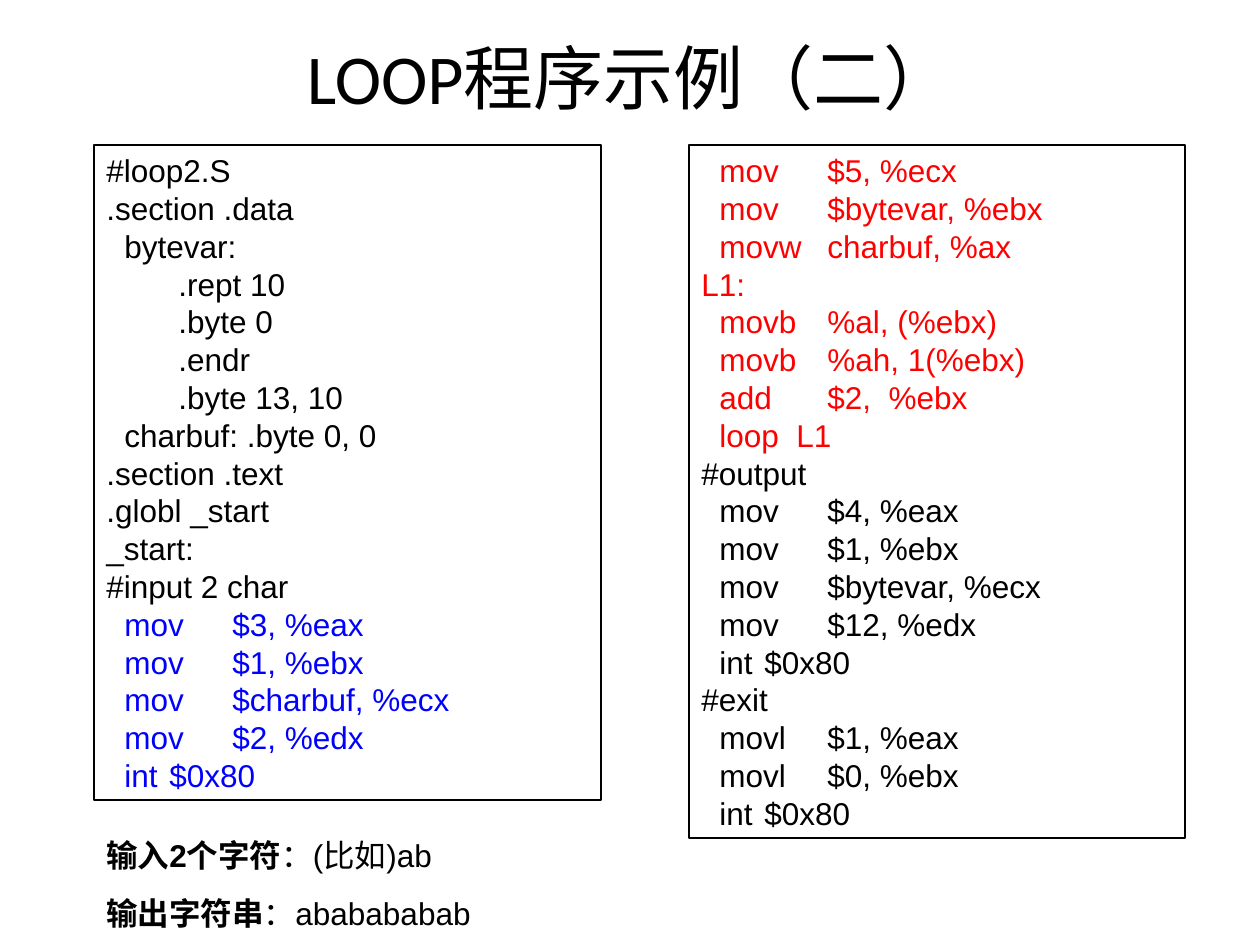
from lxml.etree import SubElement
from pptx import Presentation
from pptx.dml.color import RGBColor
from pptx.enum.shapes import MSO_SHAPE
from pptx.enum.text import MSO_ANCHOR, PP_ALIGN
from pptx.oxml.ns import qn
from pptx.util import Pt

PX = 914400 // 126
STEP = 9
TAB = 126
INK = {"black": "000000", "blue": "0000FF", "red": "FF0000"}

LEFT = [
    ("black", [
        (0, "#loop2.S"), (0, ".section .data"), (2, "bytevar:"),
        (8, ".rept 10"), (8, ".byte 0"), (8, ".endr"), (8, ".byte 13, 10"),
        (2, "charbuf: .byte 0, 0"), (0, ".section .text"),
        (0, ".globl _start"), (0, "_start:"), (0, "#input 2 char"),
    ]),
    ("blue", [
        (2, "mov\t$3, %eax"), (2, "mov\t$1, %ebx"),
        (2, "mov\t$charbuf, %ecx"), (2, "mov\t$2, %edx"), (2, "int\t$0x80"),
    ]),
]
RIGHT = [
    ("red", [
        (2, "mov\t$5, %ecx"), (2, "mov\t$bytevar, %ebx"),
        (2, "movw\tcharbuf, %ax"), (0, "L1:"), (2, "movb\t%al, (%ebx)"),
        (2, "movb\t%ah, 1(%ebx)"), (2, "add\t$2,  %ebx"), (2, "loop  L1"),
    ]),
    ("black", [
        (0, "#output"), (2, "mov\t$4, %eax"), (2, "mov\t$1, %ebx"),
        (2, "mov\t$bytevar, %ecx"), (2, "mov\t$12, %edx"), (2, "int\t$0x80"),
        (0, "#exit"), (2, "movl\t$1, %eax"), (2, "movl\t$0, %ebx"),
        (2, "int\t$0x80"),
    ]),
]
NOTES = [("输入2个字符", "：(比如)ab"), ("输出字符串", "：ababababab")]


def scale(box):
    """Turn a px box into EMU lengths."""
    return [n * PX for n in box]


def write(para, text, size=18, font="Arial", ink="black", bold=False):
    """Add one formatted run to a paragraph."""
    run = para.add_run()
    run.text = text
    run.font.size = Pt(size)
    run.font.name = font
    run.font.bold = bold
    run.font.color.rgb = RGBColor.from_string(INK[ink])


def lines(frame, count):
    """Return the given number of paragraphs of a text frame."""
    for _ in range(count - 1):
        frame.add_paragraph()
    return frame.paragraphs


def indent(para, depth):
    """Indent a code line and set its operand tab stop."""
    props = para._p.get_or_add_pPr()
    props.set("marL", "0")
    props.set("indent", str(depth * STEP * PX))
    stops = SubElement(props, qn("a:tabLst"))
    SubElement(stops, qn("a:tab"), pos=str(TAB * PX), algn="l")


def title(slide, box, text):
    """Place the centred heading."""
    frame = slide.shapes.add_textbox(*scale(box)).text_frame
    frame.word_wrap = True
    frame.vertical_anchor = MSO_ANCHOR.MIDDLE
    para = frame.paragraphs[0]
    para.alignment = PP_ALIGN.CENTER
    write(para, text, size=40, font="Calibri")


def code(slide, box, parts):
    """Place a framed listing made of coloured parts."""
    shape = slide.shapes.add_shape(MSO_SHAPE.RECTANGLE, *scale(box))
    shape.shadow.inherit = False
    shape.fill.background()
    shape.line.color.rgb = RGBColor.from_string(INK["black"])
    shape.line.width = Pt(0.75)
    frame = shape.text_frame
    frame.word_wrap = True
    frame.vertical_anchor = MSO_ANCHOR.TOP
    rows = [(ink, *row) for ink, part in parts for row in part]
    for para, (ink, depth, text) in zip(lines(frame, len(rows)), rows):
        para.alignment = PP_ALIGN.LEFT
        indent(para, depth)
        write(para, text, ink=ink)


def notes(slide, box, rows):
    """Place the labelled input and output lines."""
    frame = slide.shapes.add_textbox(*scale(box)).text_frame
    frame.word_wrap = True
    for para, (label, value) in zip(lines(frame, len(rows)), rows):
        para.space_before = Pt(11.2)
        write(para, label, bold=True)
        write(para, value)


def main():
    """Build and save the slide."""
    deck = Presentation()
    deck.slide_width, deck.slide_height = scale((1260, 945))
    slide = deck.slides.add_slide(deck.slide_layouts[6])
    code(slide, (94, 145, 507, 655), LEFT)
    code(slide, (689, 145, 496, 693), RIGHT)
    title(slide, (63, 38, 1134, 77), "LOOP程序示例（二）")
    notes(slide, (94, 830, 496, 108), NOTES)
    deck.save("out.pptx")


if __name__ == "__main__":
    main()
